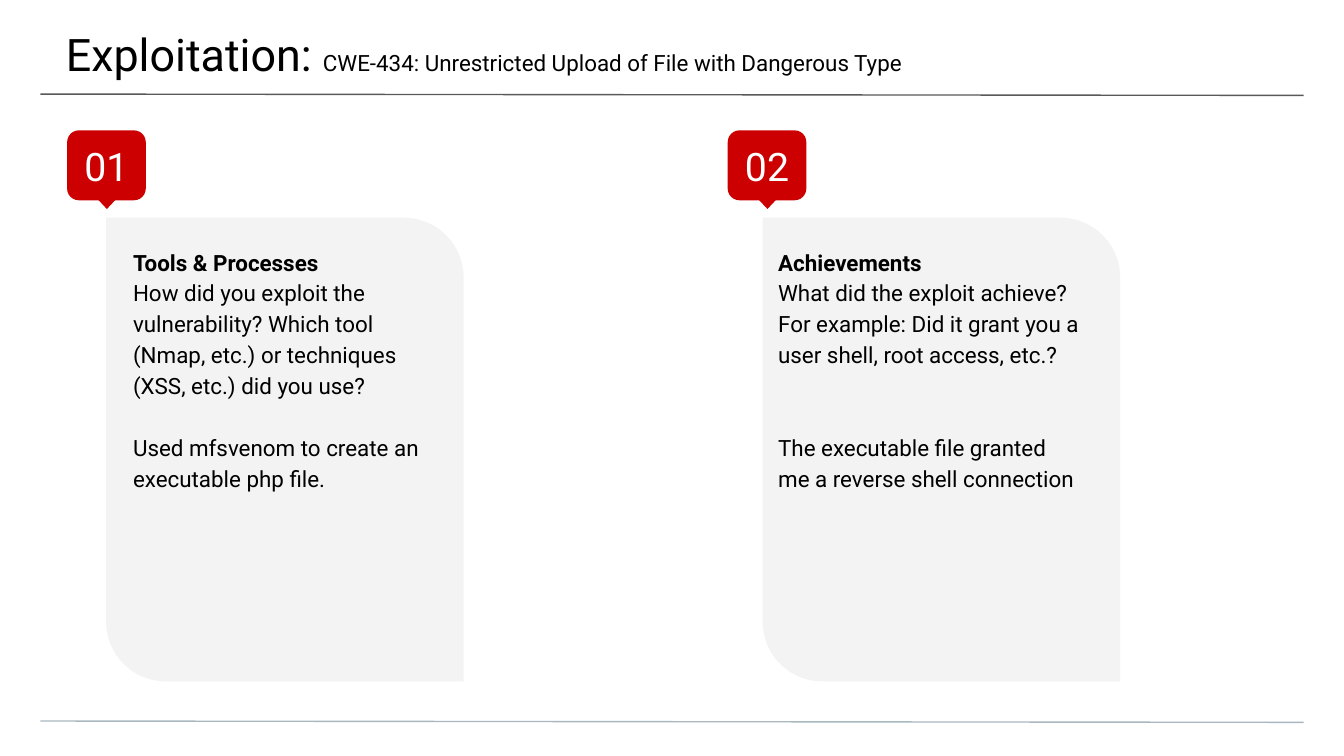
from lxml import etree
from pptx import Presentation
from pptx.dml.color import RGBColor
from pptx.enum.shapes import MSO_CONNECTOR, MSO_SHAPE
from pptx.enum.text import MSO_ANCHOR, MSO_AUTO_SIZE, PP_ALIGN
from pptx.oxml.ns import qn
from pptx.util import Emu, Pt

PX = 4572  # 200 px to the inch
FONT = "Roboto"
BLACK = RGBColor(0x00, 0x00, 0x00)
WHITE = RGBColor(0xFF, 0xFF, 0xFF)
RED = RGBColor(0xCC, 0x00, 0x00)
PANEL_GRAY = RGBColor(0xF3, 0xF3, 0xF3)
RULE_DARK = RGBColor(0x59, 0x59, 0x59)
RULE_LIGHT = RGBColor(0xA9, 0xB7, 0xC0)

STRAIGHT = MSO_CONNECTOR.STRAIGHT
ROUND_RECT = MSO_SHAPE.ROUNDED_RECTANGLE
DIAGONAL_RECT = MSO_SHAPE.ROUND_2_DIAG_RECTANGLE
TRIANGLE = MSO_SHAPE.FLOWCHART_EXTRACT
TOP, MIDDLE = MSO_ANCHOR.TOP, MSO_ANCHOR.MIDDLE
LEFT, CENTER = PP_ALIGN.LEFT, PP_ALIGN.CENTER
NO_FIT = MSO_AUTO_SIZE.NONE

PANEL_TOP, PANEL_WIDTH, PANEL_HEIGHT = 324, 532, 690
BODY_SIZE = 12
LINE_SPACING = 1.15
LINE_PITCH = 16.6  # points from one body line to the next


def px(*values):
    return [Emu(v * PX) for v in values]


class SlideBuilder:
    def __init__(self, slide):
        self.slide = slide

    def frame(self, shape, insets, anchor=TOP):
        tf = shape.text_frame
        tf.word_wrap = True
        tf.auto_size = NO_FIT
        tf.vertical_anchor = anchor
        (tf.margin_left, tf.margin_top,
         tf.margin_right, tf.margin_bottom) = px(*insets)
        return tf

    def run(self, p, text, size, color=BLACK, bold=False):
        r = p.add_run()
        r.text = text
        r.font.name = FONT
        r.font.size = Pt(size)
        r.font.bold = bold
        r.font.color.rgb = color

    def title(self, box, parts):
        s = self.slide.shapes.title
        s.left, s.top, s.width, s.height = px(*box)
        p = self.frame(s, (100, 40, 60, 20)).paragraphs[0]
        p.alignment = LEFT
        for text, size in parts:
            self.run(p, text, size)

    def rule(self, y, color):
        s = self.slide.shapes.add_connector(
            STRAIGHT, *px(60, y, 1940, y + 2))
        s.line.color.rgb = color
        s.line.width = Pt(0.75)
        etree.SubElement(s._element.spPr, qn("a:effectLst"))

    def shape(self, parent, kind, box, color, adjustments=()):
        s = parent.shapes.add_shape(kind, *px(*box))
        s.shadow.inherit = False
        s.fill.solid()
        s.fill.fore_color.rgb = color
        s.line.fill.background()
        for i, value in enumerate(adjustments):
            s.adjustments[i] = value
        return s

    def badge(self, left, number):
        """Numbered red tag with a pointer at its foot."""
        group = self.slide.shapes.add_group_shape()
        s = self.shape(group, ROUND_RECT, (left, 194, 117, 104), RED, [0.167])
        p = self.frame(s, (20, 20, 20, 20), MIDDLE).paragraphs[0]
        p.alignment = CENTER
        self.run(p, number, 21, WHITE)
        pointer = self.shape(group, TRIANGLE, (left + 30, 280, 58, 31), RED)
        pointer.rotation = 180

    def panel(self, left):
        box = (left, PANEL_TOP, PANEL_WIDTH, PANEL_HEIGHT)
        self.shape(self.slide, DIAGONAL_RECT, box, PANEL_GRAY, [0, 0.167])

    def body(self, left, width, heading, question, answer, gap_lines):
        """Heading and question, then the answer gap_lines lower."""
        s = self.slide.shapes.add_textbox(
            *px(left, PANEL_TOP, width, PANEL_HEIGHT))
        tf = self.frame(s, (40, 40, 40, 40))
        for i, text in enumerate((heading, question, answer)):
            p = tf.add_paragraph() if i else tf.paragraphs[0]
            p.line_spacing = LINE_SPACING
            self.run(p, text, BODY_SIZE, bold=(i == 0))
        p.space_before = Pt(gap_lines * LINE_PITCH)


def main():
    prs = Presentation()
    prs.slide_width, prs.slide_height = px(2000, 1125)
    builder = SlideBuilder(prs.slides.add_slide(prs.slide_layouts[5]))

    builder.rule(140, RULE_DARK)
    builder.rule(1073, RULE_LIGHT)
    builder.title((-2, 0, 2006, 116), [
        ("Exploitation: ", 24),
        ("CWE-434: Unrestricted Upload of File with Dangerous Type", 12),
    ])

    columns = [
        (100, 158, 158, 518, "Tools & Processes",
         "How did you exploit the vulnerability? Which tool (Nmap, etc.) "
         "or techniques (XSS, etc.) did you use?",
         "Used mfsvenom to create an executable php file.", 1),
        (1083, 1135, 1118, 532, "Achievements",
         "What did the exploit achieve? For example: Did it grant you a "
         "user shell, root access, etc.?",
         "The executable file granted me a reverse shell connection", 2),
    ]
    for i, (badge_left, panel_left, *body) in enumerate(columns, 1):
        builder.panel(panel_left)
        builder.body(*body)
        builder.badge(badge_left, f"{i:02d}")

    prs.save("out.pptx")


if __name__ == "__main__":
    main()
